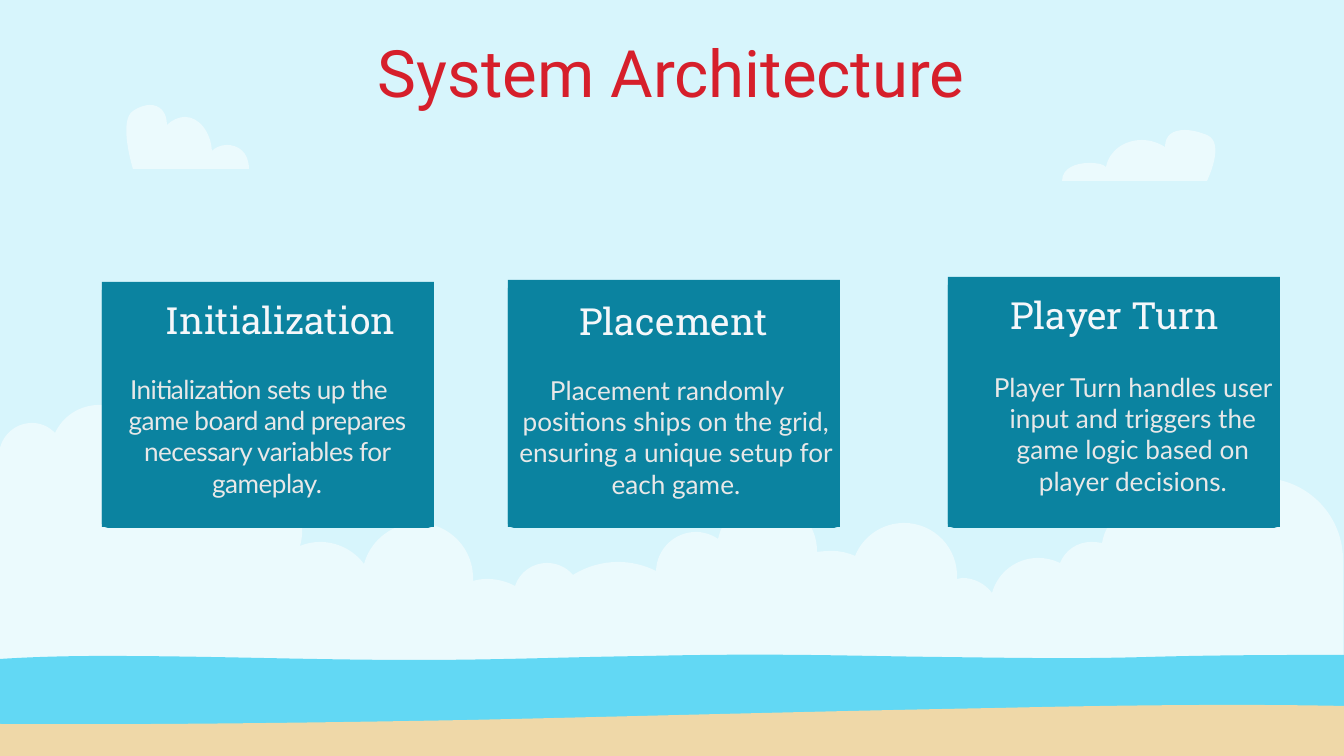
from math import atan2, cos, sin, tan

from lxml import etree
from pptx import Presentation
from pptx.dml.color import RGBColor
from pptx.enum.shapes import MSO_SHAPE
from pptx.enum.text import MSO_ANCHOR, MSO_AUTO_SIZE, PP_ALIGN
from pptx.oxml.ns import qn
from pptx.util import Pt

SCALE = 914400 / 134.4
WIDTH, HEIGHT = 1344, 756
RECT = MSO_SHAPE.RECTANGLE
TOP, MIDDLE = MSO_ANCHOR.TOP, MSO_ANCHOR.MIDDLE
CENTER = PP_ALIGN.CENTER
NO_FIT = MSO_AUTO_SIZE.NONE
INSET = 13
BODY_MARGIN = 67

SEA, SAND, WHITE = "62D8F4", "EFD8A8", "FFFFFF"
TEAL, RED, PALE, GRAY = "0B83A0", "D61F2B", "F5F7FA", "E8E8E8"

# Alternating valleys and crests, from left to right
CLOUD_BANK = [
    (-1, 457), (32, 423), (55, 433), (99, 405), (142, 472), (160, 468),
    (204, 501), (249, 478), (300, 546), (320, 542), (364, 564), (418, 523),
    (473, 581), (487, 579), (515, 586), (547, 563), (573, 575), (618, 562),
    (656, 571), (696, 532), (718, 539), (766, 500), (817, 552), (832, 551),
    (855, 556), (904, 523), (957, 579), (962, 578), (992, 593), (1038, 558),
    (1060, 563), (1091, 542), (1102, 543), (1153, 500), (1192, 516),
    (1261, 478), (1343, 560),
]
# A start point, then lines (x, y) and cubic curves (two controls and an end)
SEA_OUTLINE = [
    (0, 659), (31, 657, 66, 656, 104, 656), (215, 656, 309, 660, 417, 660),
    (500, 660, 569, 657, 648, 656), (773, 653, 852, 656, 938, 657),
    (1021, 658, 1077, 659, 1148, 657), (1220, 655, 1285, 655, WIDTH, 655),
    (WIDTH, HEIGHT), (0, HEIGHT),
]
SAND_OUTLINE = [
    (0, 724), (133, 725, 301, 723, 469, 720), (649, 716, 828, 711, 997, 708),
    (1130, 705, 1245, 704, WIDTH, 706), (WIDTH, HEIGHT), (0, HEIGHT),
]
LEFT_CLOUD = [
    (150, 105), (145, 105, 139, 107, 133, 111), (118, 121, 133, 169, 133, 169),
    (249, 169), (249, 152, 238, 145, 227, 145), (220, 145, 215, 148, 212, 151),
    (211, 132, 199, 117, 185, 117), (179, 117, 172, 120, 167, 125),
    (167, 112, 160, 105, 150, 105),
]
RIGHT_CLOUD = [
    (1185, 130), (1192, 130, 1199, 132, 1207, 135),
    (1226, 143, 1207, 181, 1207, 181), (1062, 181),
    (1062, 168, 1076, 163, 1089, 163), (1097, 163, 1103, 164, 1106, 167),
    (1109, 151, 1124, 140, 1142, 140), (1149, 140, 1157, 142, 1165, 147),
    (1165, 135, 1173, 130, 1185, 130),
]
# Card corner, heading and its box, body text, its box, first-line indent, spacing
CARDS = [
    ((102, 282), "Initialization", (111, 295, 339, 62),
     "Initialization sets up the game board and prepares necessary variables "
     "for gameplay.", (44, 360, 379, 122), -17, -0.3),
    ((508, 280), "Placement", (504, 296, 339, 62),
     "Placement randomly positions ships on the grid, ensuring a unique setup "
     "for each game.", (438, 361, 409, 146), -18, 0),
    ((948, 277), "Player Turn", (948, 290, 333, 62),
     "Player Turn handles user input and triggers the game logic based on "
     "player decisions.", (910, 358, 379, 122), 0, 0),
]
CARD_WIDTH, CARD_BOTTOM = 332, 527


def px(n):
    return round(n * SCALE)


def paint(fill, color, alpha=100):
    fill.solid()
    fill.fore_color.rgb = RGBColor.from_string(color)
    if alpha < 100:
        clr = fill._xPr.find(".//" + qn("a:srgbClr"))
        etree.SubElement(clr, qn("a:alpha")).set("val", str(alpha * 1000))


def finish(sp, color, alpha=100):
    sp.shadow.inherit = False
    sp.line.fill.background()
    paint(sp.fill, color, alpha)


def arc_controls(crest, valley):
    """Control points of a circular arc that is level at the crest."""
    dx, dy = valley[0] - crest[0], valley[1] - crest[1]
    radius = (dx * dx + dy * dy) / (2 * dy)
    angle = atan2(dx, radius - dy)
    k = 4 / 3 * radius * tan(angle / 4)
    near_crest = (crest[0] + k, crest[1])
    near_valley = (valley[0] - k * cos(angle), valley[1] - k * sin(angle))
    return near_crest, near_valley


def bump_outline(marks):
    outline = [marks[0]]
    for i in range(1, len(marks), 2):
        left, crest, right = marks[i - 1:i + 2]
        c2, c1 = arc_controls(crest, left)
        outline.append((*c1, *c2, *crest))
        c1, c2 = arc_controls(crest, right)
        outline.append((*c1, *c2, *right))
    return outline


def card_outline(x, y, right, bottom):
    """Rectangle with slightly rounded corners."""
    rx, ry = 6, 4
    return [
        (x + rx, y), (right - rx, y),
        (right - 3, y, right, y + 2, right, y + ry), (right, bottom - ry),
        (right, bottom - 2, right - 3, bottom, right - rx, bottom),
        (x + rx, bottom), (x + 3, bottom, x, bottom - 2, x, bottom - ry),
        (x, y + ry), (x, y + 2, x + 3, y, x + rx, y),
    ]


def add_outline(slide, outline, color, alpha=100):
    """Freeform through lines and cubic curves."""
    points = [(px(seg[i]), px(seg[i + 1]))
              for seg in outline for i in range(0, len(seg), 2)]
    builder = slide.shapes.build_freeform(*points[0], scale=1.0)
    builder.add_line_segments(points[1:], close=True)
    sp = builder.convert_to_shape()
    lines = iter(list(sp._element.iter(qn("a:lnTo"))))
    for seg in outline[1:]:
        first = next(lines)
        if len(seg) == 6:
            curve = etree.Element(qn("a:cubicBezTo"))
            first.addprevious(curve)
            for line in (first, next(lines), next(lines)):
                curve.append(line[0])
                line.getparent().remove(line)
    finish(sp, color, alpha)


def set_text(sp, text, font, size, color, anchor=TOP, top=0):
    tf = sp.text_frame
    tf.word_wrap = True
    tf.auto_size = NO_FIT
    tf.vertical_anchor = anchor
    tf.margin_left = tf.margin_right = tf.margin_bottom = px(INSET)
    tf.margin_top = px(top)
    tf.text = text
    p = tf.paragraphs[0]
    p.alignment = CENTER
    r = p.runs[0]
    r.font.name, r.font.size = font, Pt(size)
    r.font.color.rgb = RGBColor.from_string(color)
    return p


def add_text(slide, box, *args, **kwargs):
    return set_text(slide.shapes.add_textbox(*map(px, box)), *args, **kwargs)


def add_card(slide, corner, heading, heading_box, body, body_box, indent, spacing):
    x, y = corner
    back = card_outline(x, y + 4, x + CARD_WIDTH, CARD_BOTTOM + 1)
    add_outline(slide, back, TEAL)
    front = (x, y, CARD_WIDTH, CARD_BOTTOM - y)
    finish(slide.shapes.add_shape(RECT, *map(px, front)), TEAL)
    p = add_text(slide, body_box, body, "Lato", 14, GRAY, top=INSET)
    pPr = p._p.get_or_add_pPr()
    pPr.set("marL", str(px(BODY_MARGIN)))
    pPr.set("indent", str(px(indent)))
    if spacing:
        p.runs[0].font._rPr.set("spc", str(round(spacing * 100)))
    add_text(slide, heading_box, heading, "Roboto Slab", 20, PALE, anchor=MIDDLE)


def add_scenery(slide):
    paint(slide.background.fill, SEA, 25)
    bank = bump_outline(CLOUD_BANK) + [(1343, 672), (-1, 672)]
    add_outline(slide, bank, WHITE, 50)
    add_outline(slide, SEA_OUTLINE, SEA)
    add_outline(slide, SAND_OUTLINE, SAND)
    for cloud in (LEFT_CLOUD, RIGHT_CLOUD):
        add_outline(slide, cloud, WHITE, 50)


def main():
    prs = Presentation()
    prs.slide_width, prs.slide_height = px(WIDTH), px(HEIGHT)
    slide = prs.slides.add_slide(prs.slide_layouts[5])
    add_scenery(slide)
    title = slide.shapes.title
    title.left, title.top, title.width, title.height = map(px, (105, 32, 1133, 70))
    set_text(title, "System Architecture", "Roboto", 35, RED)
    for card in CARDS:
        add_card(slide, *card)
    prs.save("out.pptx")


if __name__ == "__main__":
    main()
